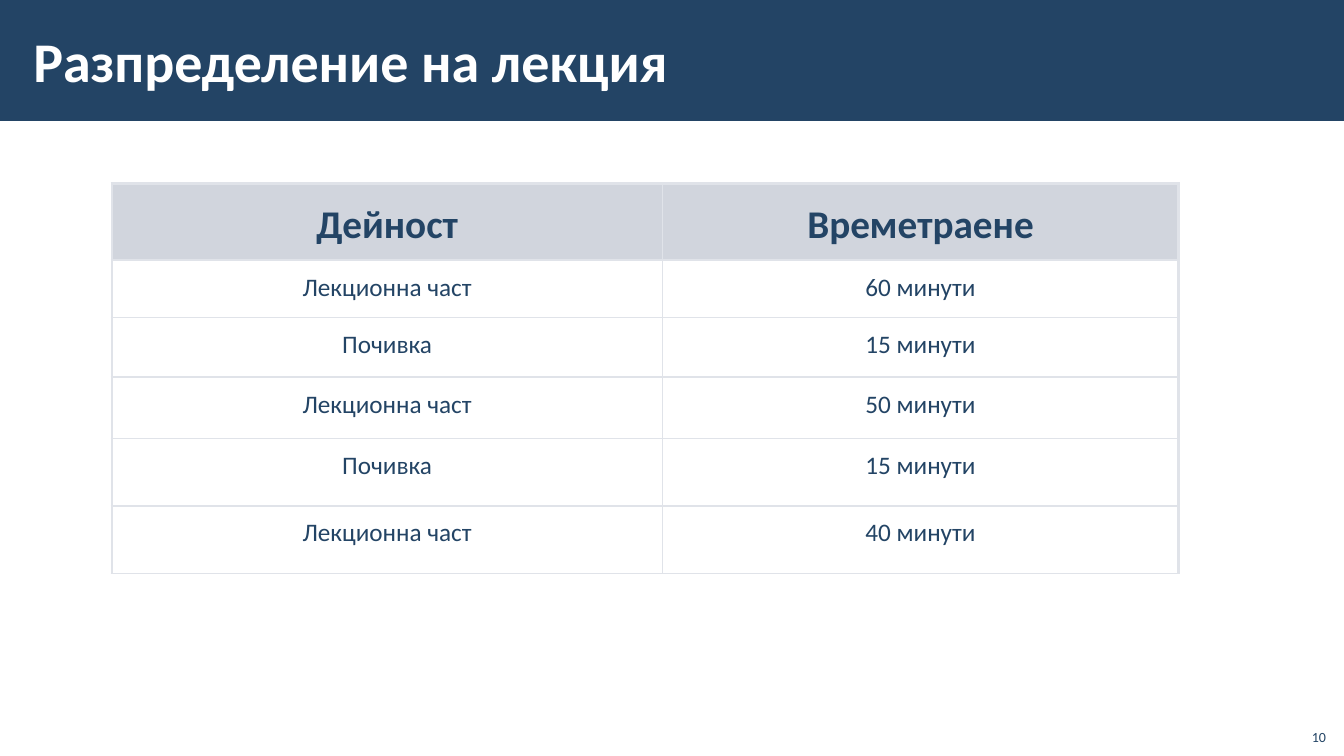
from lxml.etree import SubElement
from pptx import Presentation
from pptx.dml.color import RGBColor
from pptx.enum.shapes import MSO_SHAPE
from pptx.enum.text import MSO_ANCHOR as Anchor, PP_ALIGN as Align
from pptx.oxml.ns import qn
from pptx.util import Inches, Pt

FONT = "Calibri"
NAVY, WHITE, HEADER_GREY, RULE_GREY = "234465", "FFFFFF", "D1D5DD", "E0E3E9"
THICK, THIN = 2.25, 1

COLUMN_WIDTHS = [5.46, 5.12]
ROW_HEIGHTS = [0.76, 0.57, 0.59, 0.61, 0.67, 0.67]
SCHEDULE = [
    ("Дейност", "Времетраене"),
    ("Лекционна част", "60 минути"),
    ("Почивка", "15 минути"),
    ("Лекционна част", "50 минути"),
    ("Почивка", "15 минути"),
    ("Лекционна част", "40 минути"),
]


def color(hex_string):
    return RGBColor.from_string(hex_string)


def set_margins(target, left, top, right, bottom):
    target.margin_left, target.margin_top = Inches(left), Inches(top)
    target.margin_right, target.margin_bottom = Inches(right), Inches(bottom)


def format_paragraph(paragraph, size, hex_string, bold=False, align=Align.LEFT):
    paragraph.alignment = align
    font = paragraph.font
    font.name, font.size, font.bold = FONT, Pt(size), bold
    font.color.rgb = color(hex_string)


def add_band(slide):
    band = slide.shapes.add_shape(MSO_SHAPE.RECTANGLE, 0, 0, Inches(13.33), Inches(1.2))
    band.shadow.inherit = False
    band.fill.solid()
    band.fill.fore_color.rgb = color(NAVY)
    band.line.fill.background()
    # Send the band behind the title
    slide.shapes.title._element.addprevious(band._element)


def fill_title(slide, text):
    title = slide.shapes.title
    title.left, title.top = Inches(0.21), Inches(0.11)
    title.width, title.height = Inches(10.63), Inches(0.97)
    frame = title.text_frame
    frame.text = text
    frame.vertical_anchor = Anchor.MIDDLE
    set_margins(frame, 0.12, 0.04, 0.12, 0.04)
    format_paragraph(frame.paragraphs[0], 40, WHITE, bold=True)


def set_borders(cell, **widths):
    properties = cell._tc.get_or_add_tcPr()
    for side in "LRTB":
        line = SubElement(properties, qn(f"a:ln{side}"), w=str(Pt(widths[side])))
        fill = SubElement(line, qn("a:solidFill"))
        SubElement(fill, qn("a:srgbClr"), val=RULE_GREY)


def format_cell(cell, text, is_header):
    cell.text = text
    paragraph = cell.text_frame.paragraphs[0]
    if is_header:
        cell.vertical_anchor = Anchor.MIDDLE
        set_margins(cell, 0.16, 0.12, 0.16, 0.05)
        paragraph.line_spacing = 0.95
        cell.fill.solid()
        cell.fill.fore_color.rgb = color(HEADER_GREY)
    else:
        cell.vertical_anchor = Anchor.TOP
        set_margins(cell, 0.1, 0.12, 0.1, 0.05)
        cell.fill.background()
    format_paragraph(paragraph, 28 if is_header else 18, NAVY, is_header, Align.CENTER)


def add_schedule(slide):
    frame = slide.shapes.add_table(
        len(ROW_HEIGHTS), len(COLUMN_WIDTHS), Inches(1.11), Inches(1.82),
        Inches(sum(COLUMN_WIDTHS)), Inches(sum(ROW_HEIGHTS)))
    table = frame.table
    table.first_row = table.horz_banding = False
    for column, width in zip(table.columns, COLUMN_WIDTHS):
        column.width = Inches(width)
    for row, height in zip(table.rows, ROW_HEIGHTS):
        row.height = Inches(height)
    last_column = len(COLUMN_WIDTHS) - 1
    for i, texts in enumerate(SCHEDULE):
        for j, text in enumerate(texts):
            cell = table.cell(i, j)
            # Heavy rules frame the sides and the header row
            set_borders(cell,
                        L=THICK if j == 0 else THIN,
                        R=THICK if j == last_column else THIN,
                        T=THICK if i <= 1 else THIN,
                        B=THICK if i == 0 else THIN)
            format_cell(cell, text, is_header=i == 0)


def add_page_number(slide, number):
    box = slide.shapes.add_textbox(Inches(12.85), Inches(7.12), Inches(0.4), Inches(0.32))
    frame = box.text_frame
    frame.word_wrap = True
    frame.vertical_anchor = Anchor.BOTTOM
    frame.text = number
    format_paragraph(frame.paragraphs[0], 10, NAVY, align=Align.RIGHT)


def main():
    presentation = Presentation()
    presentation.slide_width, presentation.slide_height = Inches(13.33), Inches(7.5)
    title_only = presentation.slide_layouts[5]
    slide = presentation.slides.add_slide(title_only)

    # Title band
    add_band(slide)
    fill_title(slide, "Разпределение на лекция")

    # Lecture schedule and page number
    add_schedule(slide)
    add_page_number(slide, "10")

    presentation.save("out.pptx")


if __name__ == "__main__":
    main()
